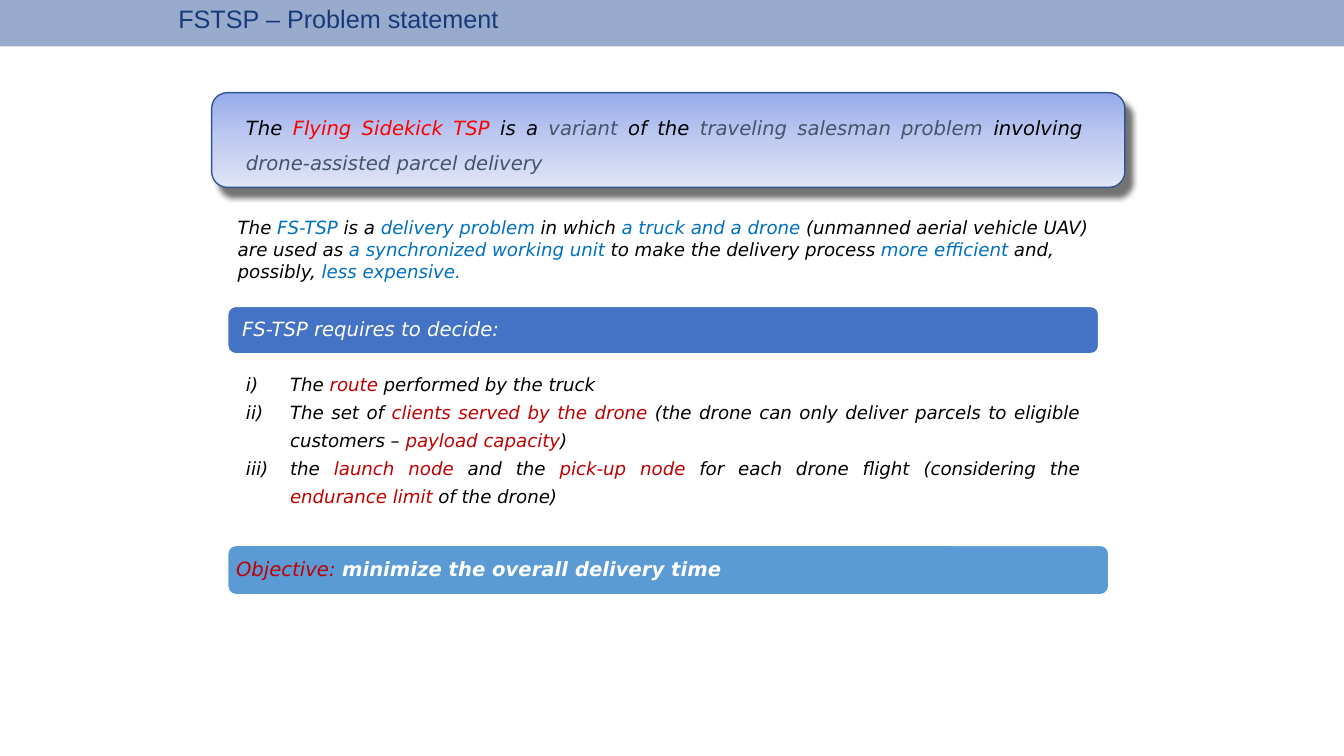
from dataclasses import dataclass

from lxml import etree
from pptx import Presentation
from pptx.dml.color import RGBColor
from pptx.enum import shapes, text
from pptx.oxml import ns
from pptx.util import Length, Pt

BLACK = RGBColor(0x00, 0x00, 0x00)
WHITE = RGBColor(0xFF, 0xFF, 0xFF)
RED = RGBColor(0xFF, 0x00, 0x00)
DARK_RED = RGBColor(0xC0, 0x00, 0x00)
BLUE = RGBColor(0x00, 0x70, 0xC0)
SLATE = RGBColor(0x44, 0x54, 0x6A)
NAVY = RGBColor(0x00, 0x20, 0x60)
HEADER_BLUE = RGBColor(0x2F, 0x55, 0x97)
DECISION_BLUE = RGBColor(0x44, 0x72, 0xC4)
OBJECTIVE_BLUE = RGBColor(0x5B, 0x9B, 0xD5)
CARD_EDGE = RGBColor(0x32, 0x54, 0x91)
CARD_STOPS = {
    0: RGBColor(0x96, 0xAB, 0xEA),
    50: RGBColor(0xC0, 0xCB, 0xF0),
    100: RGBColor(0xE0, 0xE5, 0xF7),
}


@dataclass(frozen=True)
class Phrase:
    words: str
    color: RGBColor = BLACK
    bold: bool = False


@dataclass(frozen=True)
class Box:
    left: float
    top: float
    width: float
    height: float

    def lengths(self) -> tuple[Length, ...]:
        return Pt(self.left), Pt(self.top), Pt(self.width), Pt(self.height)


@dataclass(frozen=True)
class Banner:
    box: Box
    fill: RGBColor
    phrases: list[Phrase]


DEFINITION = [
    Phrase("The "), Phrase("Flying Sidekick TSP ", RED), Phrase("is a "),
    Phrase("variant", SLATE), Phrase(" of the "),
    Phrase("traveling salesman problem", SLATE), Phrase(" involving "),
    Phrase("drone-assisted parcel delivery", SLATE),
]
EXPLANATION = [
    Phrase("The "), Phrase("FS-TSP", BLUE), Phrase(" is a "),
    Phrase("delivery problem ", BLUE), Phrase("in which "),
    Phrase("a truck and a drone ", BLUE),
    Phrase("(unmanned aerial vehicle UAV) are used as "),
    Phrase("a synchronized working unit ", BLUE),
    Phrase("to make the delivery process "), Phrase("more efficient", BLUE),
    Phrase(" and, possibly, "), Phrase("less expensive.", BLUE),
]
DECISIONS = [
    [Phrase("The "), Phrase("route", DARK_RED), Phrase(" performed by the truck")],
    [Phrase("The set of "), Phrase("clients served by the drone ", DARK_RED),
     Phrase("(the drone can only deliver parcels to eligible customers – "),
     Phrase("payload capacity", DARK_RED), Phrase(")")],
    [Phrase("the "), Phrase("launch node", DARK_RED), Phrase(" and the "),
     Phrase("pick-up node ", DARK_RED),
     Phrase("for each drone flight (considering the "),
     Phrase("endurance limit ", DARK_RED), Phrase("of the drone)")],
]
BANNERS = [
    Banner(Box(162.7, 218.9, 622.1, 33.8), DECISION_BLUE,
           [Phrase(" FS-TSP requires to decide:", WHITE)]),
    Banner(Box(162.7, 389.5, 629.3, 35.3), OBJECTIVE_BLUE,
           [Phrase("Objective: ", DARK_RED),
            Phrase("minimize the overall delivery time", WHITE, True)]),
]


def place(holder, box: Box) -> None:
    holder.left, holder.top, holder.width, holder.height = box.lengths()


def write(paragraph, phrases: list[Phrase], size: float,
          align=text.PP_ALIGN.LEFT, spacing: Length | float | None = None) -> None:
    paragraph.alignment = align
    paragraph.line_spacing = spacing
    for phrase in phrases:
        run = paragraph.add_run()
        run.text = phrase.words
        font = run.font
        font.name, font.size = "DejaVu Sans", Pt(size)
        font.italic, font.bold = True, phrase.bold
        font.color.rgb = phrase.color


def inset(frame, left: float, top: float, right: float, bottom: float) -> None:
    frame.word_wrap = True
    frame.margin_left, frame.margin_top = Pt(left), Pt(top)
    frame.margin_right, frame.margin_bottom = Pt(right), Pt(bottom)


def add_panel(slide, kind, box: Box, fill: RGBColor, edge: RGBColor | None = None):
    panel = slide.shapes.add_shape(kind, *box.lengths())
    panel.shadow.inherit = False
    panel.fill.solid()
    panel.fill.fore_color.rgb = fill
    if edge is None:
        panel.line.fill.background()
    else:
        panel.line.color.rgb = edge
        panel.line.width = Pt(1)
    return panel


def add_color(parent, color: RGBColor, alpha: int = 100) -> None:
    node = etree.SubElement(parent, ns.qn("a:srgbClr"), val=str(color))
    if alpha < 100:
        etree.SubElement(node, ns.qn("a:alpha"), val=str(alpha * 1000))


def add_title(slide) -> None:
    title = slide.shapes.title
    place(title, Box(120.2, 0, 663.8, 25.9))
    frame = title.text_frame
    frame.text = "FSTSP – Problem statement"
    frame.auto_size = text.MSO_AUTO_SIZE.NONE
    frame.vertical_anchor = text.MSO_ANCHOR.MIDDLE
    heading = frame.paragraphs[0]
    heading.alignment = text.PP_ALIGN.LEFT
    font = heading.runs[0].font
    font.name, font.size, font.color.rgb = "Arial", Pt(18), NAVY


def add_decisions(slide) -> None:
    body = slide.placeholders[1]
    place(body, Box(168.5, 258.5, 609.8, 141.8))
    frame = body.text_frame
    frame.auto_size = text.MSO_AUTO_SIZE.NONE
    for index, phrases in enumerate(DECISIONS):
        item = frame.add_paragraph() if index else frame.paragraphs[0]
        write(item, phrases, 13, text.PP_ALIGN.JUSTIFY, Pt(20))
        item.space_before = Pt(0)
        props = item._p.get_or_add_pPr()
        props.set("marL", str(Pt(31.5)))
        props.set("indent", str(Pt(-31.5)))
        etree.SubElement(props, ns.qn("a:buFont"), typeface="+mj-lt")
        etree.SubElement(props, ns.qn("a:buAutoNum"), type="romanLcParenR")


def add_banner(slide, banner: Banner) -> None:
    panel = add_panel(slide, shapes.MSO_SHAPE.ROUNDED_RECTANGLE,
                      banner.box, banner.fill, WHITE)
    frame = panel.text_frame
    inset(frame, 4.2, 4.2, 4.2, 4.2)
    frame.vertical_anchor = text.MSO_ANCHOR.MIDDLE
    write(frame.paragraphs[0], banner.phrases, 14, spacing=0.9)
    frame.paragraphs[0].space_after = Pt(5)


def add_definition_card(slide) -> None:
    card = add_panel(slide, shapes.MSO_SHAPE.ROUNDED_RECTANGLE,
                     Box(151.2, 66.2, 652.3, 67.7), WHITE, CARD_EDGE)
    props = card._element.spPr
    solid = props.find(ns.qn("a:solidFill"))
    gradient = etree.Element(ns.qn("a:gradFill"), rotWithShape="1")
    stops = etree.SubElement(gradient, ns.qn("a:gsLst"))
    for percent, color in CARD_STOPS.items():
        add_color(etree.SubElement(stops, ns.qn("a:gs"), pos=str(percent * 1000)), color)
    etree.SubElement(gradient, ns.qn("a:lin"), ang=str(90 * 60000), scaled="0")
    props.replace(solid, gradient)
    shadow = etree.SubElement(
        props.find(ns.qn("a:effectLst")), ns.qn("a:outerShdw"),
        blurRad=str(Pt(4)), dist=str(Pt(8)), dir=str(52 * 60000),
        algn="tl", rotWithShape="0")
    add_color(shadow, BLACK, 55)
    frame = card.text_frame
    inset(frame, 21.2, 5.3, 26.9, 3.6)
    frame.vertical_anchor = text.MSO_ANCHOR.TOP
    write(frame.paragraphs[0], DEFINITION, 14, text.PP_ALIGN.JUSTIFY, Pt(25))


def add_explanation(slide) -> None:
    frame = slide.shapes.add_textbox(*Box(162.7, 151.2, 640.8, 54.7).lengths()).text_frame
    frame.word_wrap = True
    write(frame.paragraphs[0], EXPLANATION, 13)


def add_header_band(slide) -> None:
    band = add_panel(slide, shapes.MSO_SHAPE.RECTANGLE, Box(0, 0, 960, 33.1), HEADER_BLUE)
    solid = band._element.spPr.find(ns.qn("a:solidFill"))
    etree.SubElement(solid[0], ns.qn("a:alpha"), val=str(49 * 1000))


def main() -> None:
    deck = Presentation()
    deck.slide_width, deck.slide_height = Pt(960), Pt(540)
    slide = deck.slides.add_slide(deck.slide_layouts[1])
    add_title(slide)
    add_decisions(slide)
    for banner in BANNERS:
        add_banner(slide, banner)
    add_definition_card(slide)
    add_explanation(slide)
    add_header_band(slide)
    deck.save("out.pptx")


if __name__ == "__main__":
    main()
